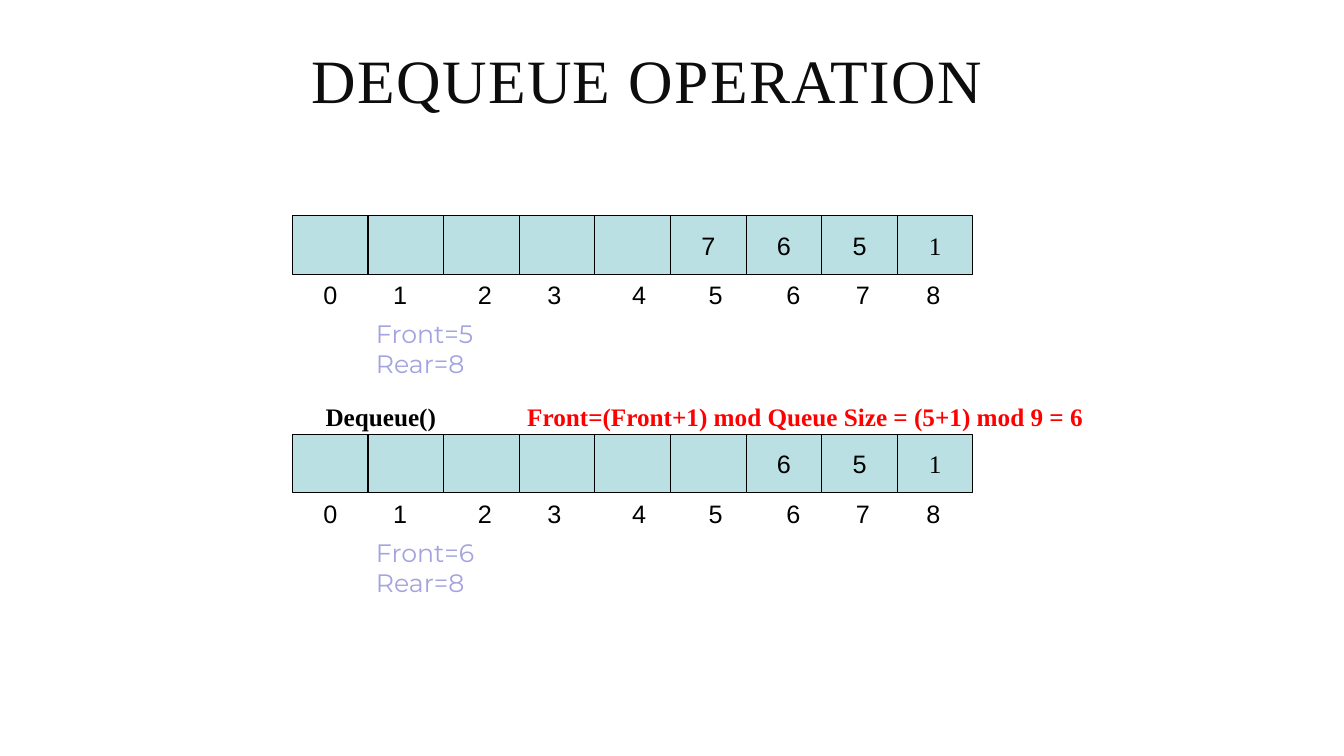
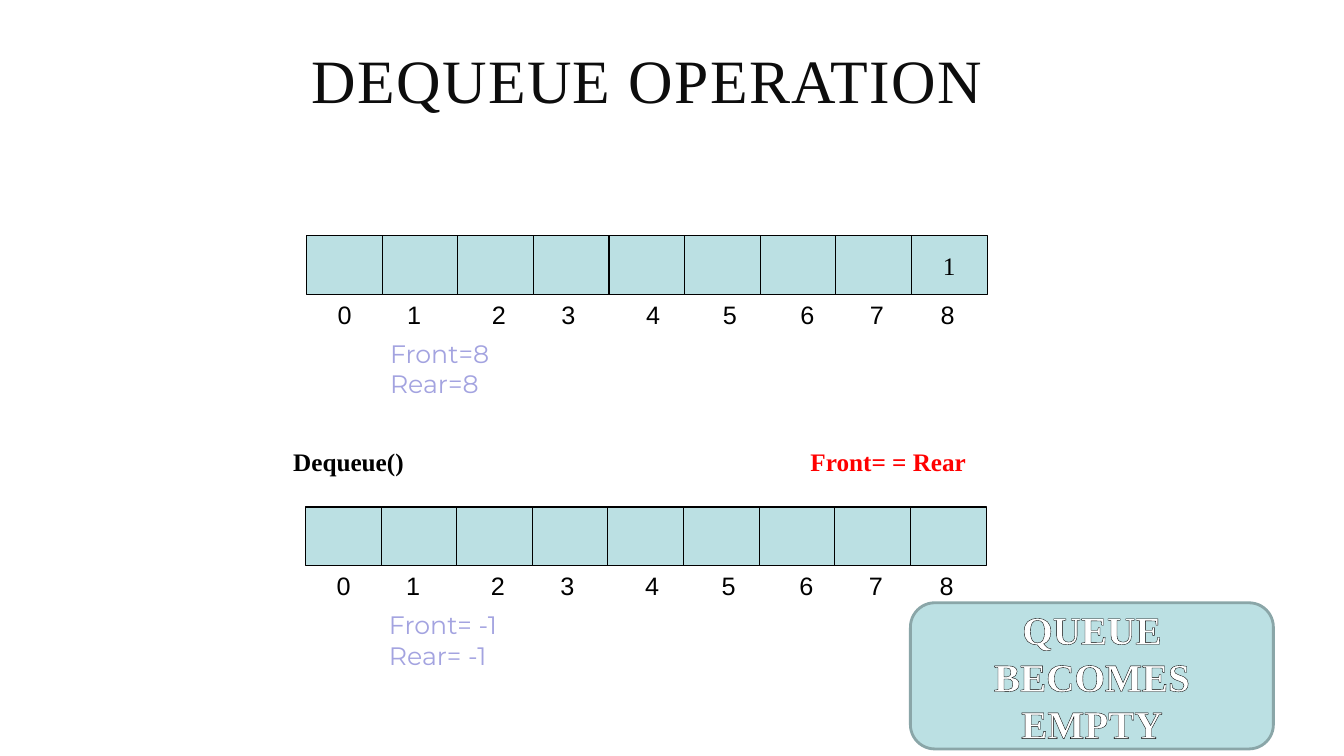
from dataclasses import dataclass
from lxml.etree import SubElement
from pptx import Presentation
from pptx.dml.color import RGBColor
from pptx.enum.shapes import MSO_SHAPE
from pptx.enum.text import MSO_ANCHOR, MSO_AUTO_SIZE, PP_ALIGN
from pptx.oxml import parse_xml
from pptx.oxml.ns import nsdecls, qn
from pptx.util import Inches, Pt


@dataclass(frozen=True)
class Theme:
    ink: str = "000000"
    title: str = "0D0D0D"
    cell: str = "BBE0E3"
    edge: str = "8AA6A8"
    state: str = "A3A3E0"
    alert: str = "FF0000"
    white: str = "FFFFFF"
    serif: str = "Times New Roman"
    sans: str = "Arial"
    display: str = "Montserrat"
    title_size: int = 44
    callout_size: int = 28
    body_size: int = 18


T = Theme()
CELLS = 9
CELL_W, CELL_H = 0.75, 0.58
INDEX_STOPS = (0.21, 0.9, 1.74, 2.43, 3.27, 4.03, 4.8, 5.49, 6.19)


def add_run(p, text, font=T.sans, color=T.ink, size=T.body_size, bold=False):
    r = p.add_run()
    r.text = text
    r.font.name = font
    r.font.size = Pt(size)
    r.font.bold = bold
    r.font.color.rgb = RGBColor.from_string(color)
    return r


def add_textbox(shapes, x, y, w, h):
    tf = shapes.add_textbox(Inches(x), Inches(y), Inches(w), Inches(h)).text_frame
    tf.word_wrap = True
    return tf


def add_box(shapes, kind, x, y, w, h, line, weight):
    sp = shapes.add_shape(kind, Inches(x), Inches(y), Inches(w), Inches(h))
    sp.shadow.inherit = False
    sp.fill.solid()
    sp.fill.fore_color.rgb = RGBColor.from_string(T.cell)
    sp.line.color.rgb = RGBColor.from_string(line)
    sp.line.width = Pt(weight)
    tf = sp.text_frame
    tf.vertical_anchor = MSO_ANCHOR.MIDDLE
    tf.paragraphs[0].alignment = PP_ALIGN.CENTER
    return tf


def set_tabs(p, stops):
    tabs = SubElement(p._p.get_or_add_pPr(), qn("a:tabLst"))
    for stop in stops:
        SubElement(tabs, qn("a:tab"), pos=str(Inches(stop)), algn="l")


def add_queue(s, x, y, values, front, rear):
    shapes = s.shapes.add_group_shape().shapes
    for i in range(CELLS):
        tf = add_box(shapes, MSO_SHAPE.RECTANGLE, x + i * CELL_W, y, CELL_W, CELL_H, T.ink, 0.75)
        tf.word_wrap = False
        if i in values:
            add_run(tf.paragraphs[0], values[i], T.serif if i == CELLS - 1 else T.sans)
    p = add_textbox(shapes, x, y + CELL_H, CELLS * CELL_W, 0.4).paragraphs[0]
    set_tabs(p, INDEX_STOPS)
    for i in range(CELLS):
        add_run(p, f"\t{i}")
    tf = add_textbox(shapes, x + 0.73, y + 0.97, 1.43, 0.7)
    add_run(tf.paragraphs[0], f"Front={front}", T.display, T.state)
    add_run(tf.add_paragraph(), f"Rear={rear}", T.display, T.state)


def add_step(s, x, y, w, stop, rule):
    p = add_textbox(s.shapes, x, y, w, 0.4).paragraphs[0]
    set_tabs(p, [stop])
    add_run(p, "Dequeue()\t", T.serif, bold=True)
    add_run(p, rule, T.serif, T.alert, bold=True)


def add_callout(s, x, y, w, h, text):
    tf = add_box(s.shapes, MSO_SHAPE.ROUNDED_RECTANGLE, x, y, w, h, T.edge, 2)
    tf.word_wrap = True
    r = add_run(tf.paragraphs[0], text, T.serif, T.white, T.callout_size, True)
    outline = parse_xml(
        f'<a:ln {nsdecls("a")} w="{Pt(0.75)}"><a:solidFill>'
        f'<a:srgbClr val="{T.ink}"/></a:solidFill></a:ln>')
    r.font._element.insert(0, outline)


def add_slide(prs, title):
    s = prs.slides.add_slide(prs.slide_layouts[5])
    sp = s.shapes.title
    sp.left, sp.top, sp.width, sp.height = map(Inches, (0.42, 0.16, 12, 1.25))
    tf = sp.text_frame
    tf.auto_size = MSO_AUTO_SIZE.NONE
    tf.vertical_anchor = MSO_ANCHOR.MIDDLE
    p = tf.paragraphs[0]
    p.alignment = PP_ALIGN.CENTER
    r = add_run(p, title, T.serif, T.title, T.title_size)
    r.font._element.set("spc", "100")
    return s


def main():
    prs = Presentation()
    prs.slide_width, prs.slide_height = Inches(13.33), Inches(7.5)

    s = add_slide(prs, "DEQUEUE OPERATION")
    add_queue(s, 2.9, 2.14, {5: "7", 6: "6", 7: "5", 8: "1"}, "5", "8")
    add_step(s, 3.13, 3.93, 7.79, 2, "Front=(Front+1) mod Queue Size = (5+1) mod 9 = 6")
    add_queue(s, 2.9, 4.31, {6: "6", 7: "5", 8: "1"}, "6", "8")

    s = add_slide(prs, "DEQUEUE OPERATION")
    add_queue(s, 3.04, 2.34, {8: "1"}, "8", "8")
    add_step(s, 2.81, 4.38, 6.97, 5.13, "Front= = Rear")
    add_queue(s, 3.03, 5.03, {}, " -1", " -1")
    add_callout(s, 9.03, 5.98, 3.6, 1.45, "QUEUE BECOMES EMPTY")

    prs.save("out.pptx")


if __name__ == "__main__":
    main()
